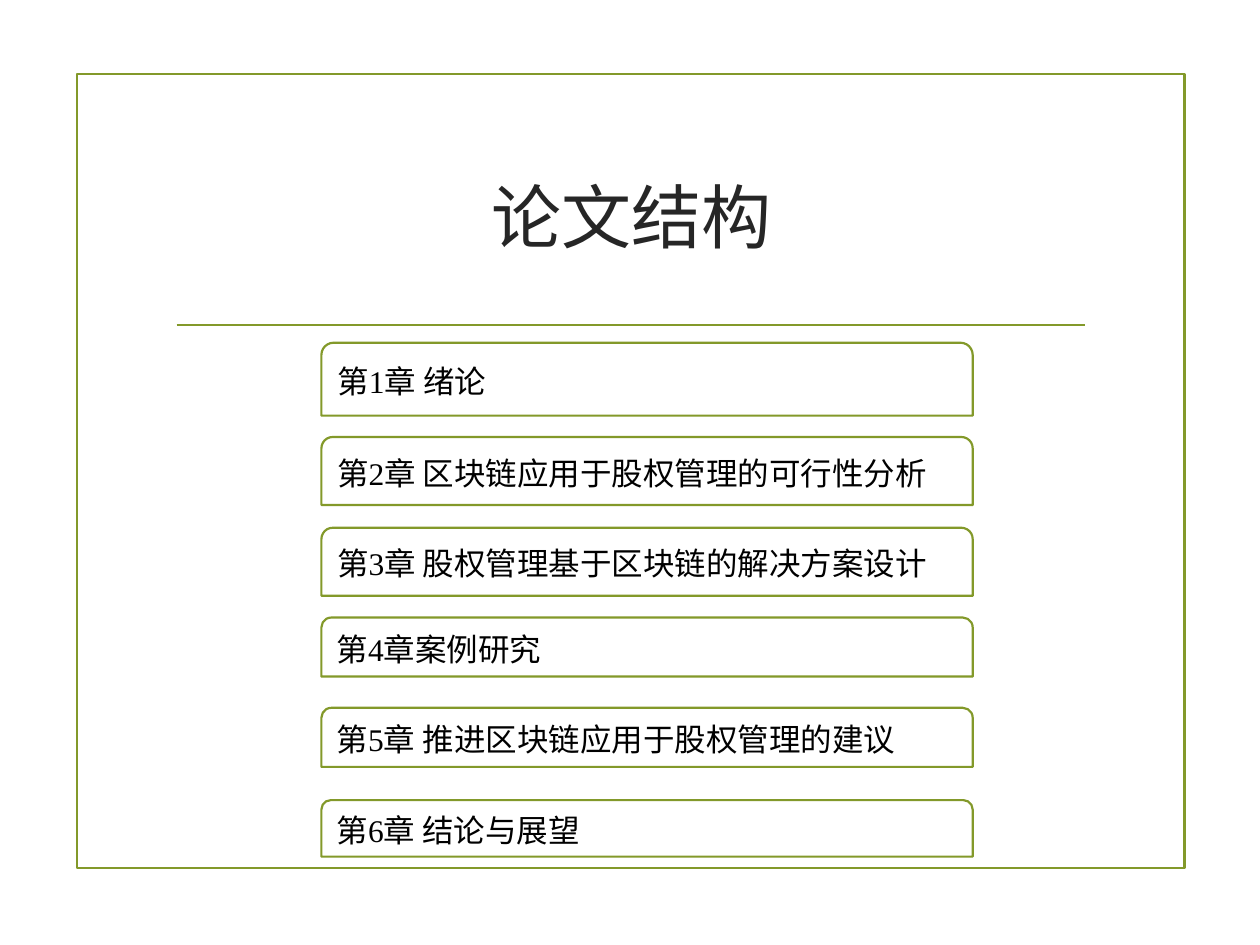
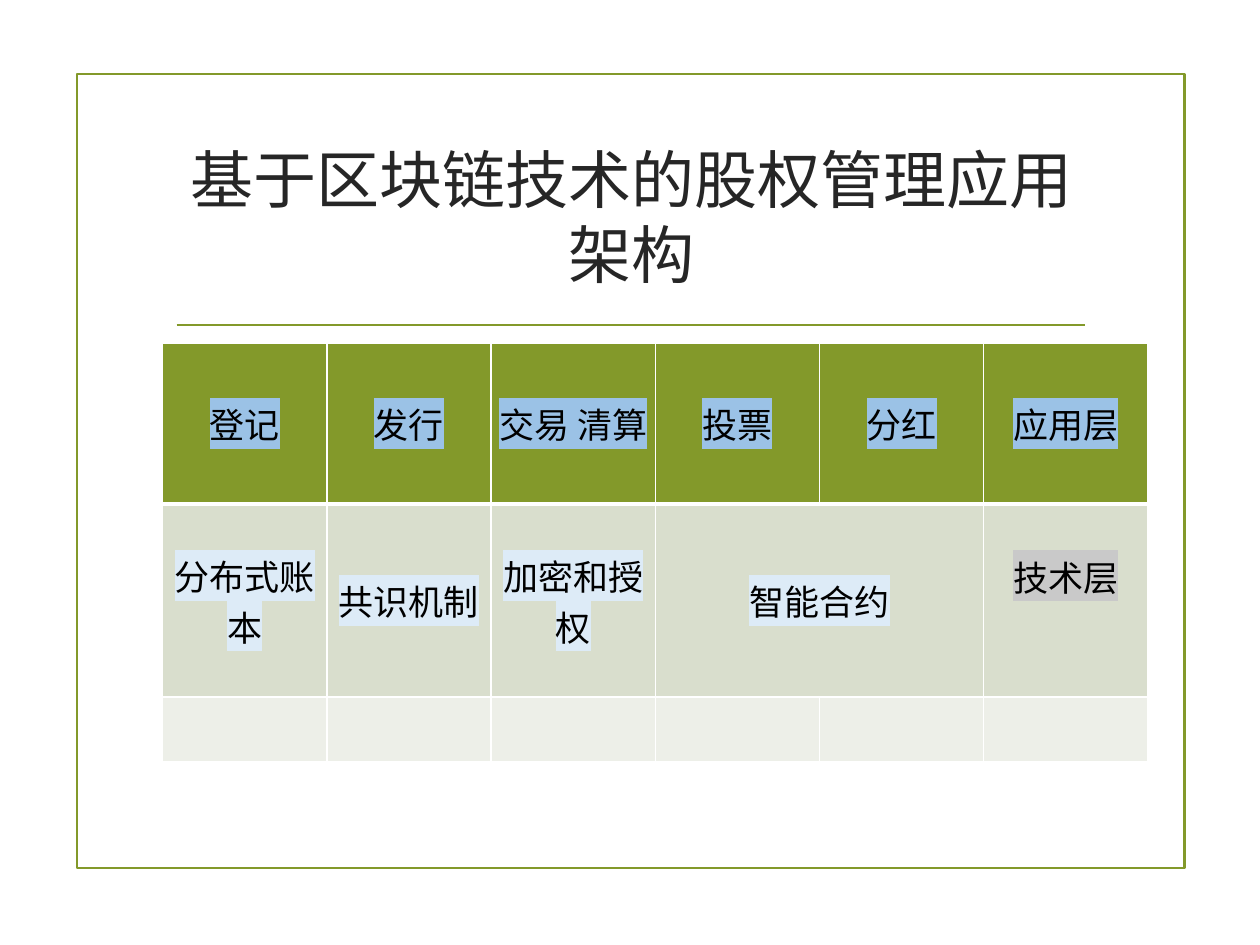
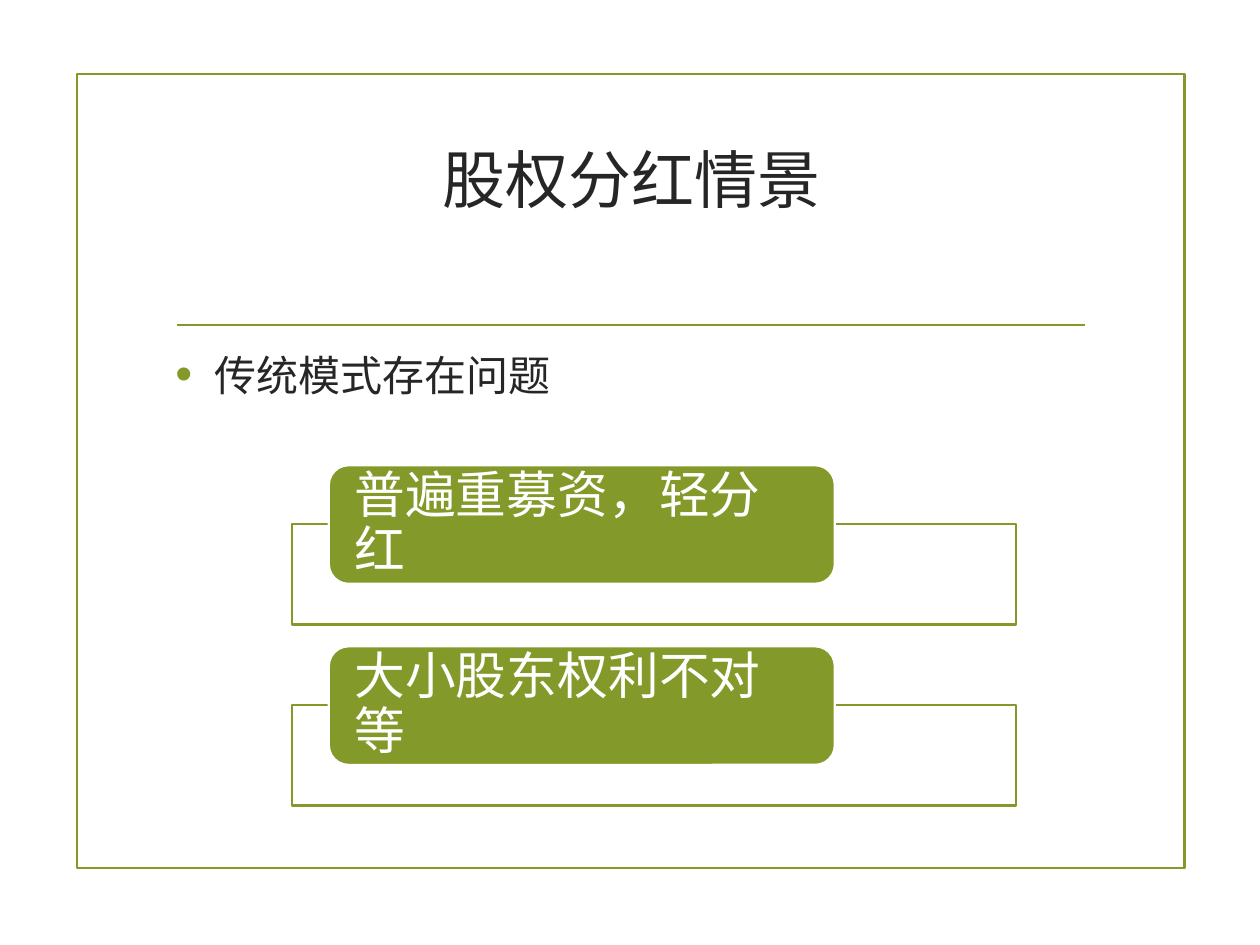
import dataclasses

import lxml.etree
import pptx
import pptx.dml.color
import pptx.enum.shapes
import pptx.enum.text
import pptx.oxml.ns
import pptx.util

Cm = pptx.util.Cm
Pt = pptx.util.Pt
qn = pptx.oxml.ns.qn
SHAPE = pptx.enum.shapes.MSO_SHAPE
ALIGN = pptx.enum.text.PP_ALIGN
ANCHOR = pptx.enum.text.MSO_ANCHOR


@dataclasses.dataclass(frozen=True)
class Theme:
    green: str = "83992A"
    white: str = "FFFFFF"
    black: str = "000000"
    ink: str = "262626"
    band_dark: str = "D9DECD"
    band_light: str = "EDEFE8"
    mark_blue: str = "9BC2E6"
    mark_pale: str = "DDEBF7"
    mark_grey: str = "C9C9C9"
    latin: str = "Times New Roman"
    cjk: str = "Noto Sans CJK SC"
    title: int = 40
    long_title: int = 36
    callout: int = 29
    body: int = 24
    cell: int = 20
    chapter: int = 18
    line: float = 1.25


THEME = Theme()

# Chapter title, top and height in cm
CHAPTERS = [
    ("第1章 绪论", 6.91, 1.47),
    ("第2章 区块链应用于股权管理的可行性分析", 8.81, 1.37),
    ("第3章 股权管理基于区块链的解决方案设计", 10.64, 1.37),
    ("第4章案例研究", 12.45, 1.19),
    ("第5章 推进区块链应用于股权管理的建议", 14.27, 1.19),
    ("第6章 结论与展望", 16.13, 1.14),
]
APPLICATIONS = ["登记", "发行", "交易 清算", "投票", "分红", "应用层"]
TECHNOLOGIES = ["分布式账本", "共识机制", "加密和授权", "智能合约", "", "技术层"]
PROBLEMS = ["普遍重募资，轻分红", "大小股东权利不对等"]


def rgb(color):
    return pptx.dml.color.RGBColor.from_string(color)


# Text
def write_text(tf, text, size, color=THEME.ink, font=THEME.latin,
               align=ALIGN.LEFT, highlight=None, spacing=None, after=None):
    """Write one formatted paragraph and return it."""
    p = tf.paragraphs[0]
    p.text = text
    p.alignment = align
    if spacing:
        p.line_spacing = spacing
    if after is not None:
        p.space_after = Pt(after)
    for r in p.runs:
        r.font.size = Pt(size)
        r.font.bold = False
        r.font.color.rgb = rgb(color)
        r.font.name = font
        rPr = r.font._element
        lxml.etree.SubElement(rPr, qn("a:ea"), typeface=THEME.cjk)
        if highlight:
            mark = lxml.etree.Element(qn("a:highlight"))
            lxml.etree.SubElement(mark, qn("a:srgbClr"), val=highlight)
            rPr.find(qn("a:solidFill")).addnext(mark)
    return p


def place(sp, left, top, width, height):
    sp.left, sp.top, sp.width, sp.height = (
        Cm(v) for v in (left, top, width, height))


def add_title(s, text, size=THEME.long_title, raise_by=0.0):
    sp = s.shapes.title
    place(sp, 3.28, 2.54, 18.9, 3.63)
    tf = sp.text_frame
    tf.word_wrap = True
    tf.auto_size = pptx.enum.text.MSO_AUTO_SIZE.NONE
    tf.vertical_anchor = ANCHOR.MIDDLE
    tf.margin_bottom = Cm(0.13 + 2 * raise_by)
    write_text(tf, text, size, align=ALIGN.CENTER)


def add_bullet(s, text):
    sp = s.placeholders[1]
    place(sp, 3.28, 6.91, 18.9, 9.58)
    p = write_text(sp.text_frame, text, THEME.body, after=6)
    pPr = p._p.get_or_add_pPr()
    pPr.set("marL", str(Cm(0.79)))
    pPr.set("indent", str(-Cm(0.79)))
    color = lxml.etree.SubElement(pPr, qn("a:buClr"))
    lxml.etree.SubElement(color, qn("a:srgbClr"), val=THEME.green)
    lxml.etree.SubElement(pPr, qn("a:buSzPct"), val="115000")
    lxml.etree.SubElement(pPr, qn("a:buFont"), typeface="Arial")
    lxml.etree.SubElement(pPr, qn("a:buChar"), char="•")


# Shapes
def add_box(s, kind, left, top, width, height, fill=None, line=THEME.green):
    sp = s.shapes.add_shape(kind, Cm(left), Cm(top), Cm(width), Cm(height))
    sp.shadow.inherit = False
    if fill:
        sp.fill.solid()
        sp.fill.fore_color.rgb = rgb(fill)
    else:
        sp.fill.background()
    sp.line.color.rgb = rgb(line)
    sp.line.width = Pt(THEME.line)
    return sp


def add_rule(s, left, right, y):
    cxn = s.shapes.add_connector(pptx.enum.shapes.MSO_CONNECTOR.STRAIGHT,
                                 Cm(left), Cm(y), Cm(right), Cm(y))
    cxn.line.color.rgb = rgb(THEME.green)
    cxn.line.width = Pt(THEME.line)
    lxml.etree.SubElement(cxn._element.spPr, qn("a:effectLst"))
    return cxn


def move_frame_to_master(prs, s):
    """Draw the frame and title rule, then hand them to the master."""
    frame = add_box(s, SHAPE.RECTANGLE, 1.55, 1.5, 22.33, 16)
    rule = add_rule(s, 3.56, 21.87, 6.55)
    tree = prs.slide_master.element.cSld.spTree
    for sp in (frame, rule):
        tree.append(sp._element)


def add_chapter(s, text, top, height):
    sp = add_box(s, SHAPE.ROUND_2_SAME_RECTANGLE, 6.48, top, 13.13, height,
                 fill=THEME.white)
    tf = sp.text_frame
    tf.word_wrap = True
    tf.vertical_anchor = ANCHOR.MIDDLE
    write_text(tf, text, THEME.chapter, THEME.black)


def add_problem(s, text, top):
    panel = add_box(s, SHAPE.RECTANGLE, 5.89, top + 1.18, 14.6, 2.03,
                    fill=THEME.white)
    white = panel._element.spPr.find(qn("a:solidFill"))[0]
    lxml.etree.SubElement(white, qn("a:alpha"), val="90000")
    label = add_box(s, SHAPE.ROUNDED_RECTANGLE, 6.63, top, 10.2, 2.39,
                    fill=THEME.green, line=THEME.white)
    tf = label.text_frame
    tf.word_wrap = True
    tf.vertical_anchor = ANCHOR.MIDDLE
    tf.margin_left = tf.margin_right = Cm(0.4)
    tf.margin_top = tf.margin_bottom = 0
    write_text(tf, text, THEME.callout, THEME.white, spacing=0.9)


# Table
def set_borders(cell, top, bottom):
    tcPr = cell._tc.get_or_add_tcPr()
    widths = {"a:lnL": 1, "a:lnR": 1, "a:lnT": top, "a:lnB": bottom}
    for i, (tag, width) in enumerate(widths.items()):
        ln = lxml.etree.Element(qn(tag), w=str(Pt(width)))
        fill = lxml.etree.SubElement(ln, qn("a:solidFill"))
        lxml.etree.SubElement(fill, qn("a:srgbClr"), val=THEME.white)
        tcPr.insert(i, ln)


def add_cell(cell, text, fill, mark, top, bottom):
    cell.fill.solid()
    cell.fill.fore_color.rgb = rgb(fill)
    set_borders(cell, top, bottom)
    if text:
        cell.vertical_anchor = ANCHOR.MIDDLE
        cell.margin_left = cell.margin_right = 0
        cell.margin_top = cell.margin_bottom = 0
        write_text(cell.text_frame, text, THEME.cell, THEME.black,
                   font=THEME.cjk, align=ALIGN.CENTER, highlight=mark)


def add_layer_table(s):
    count = len(APPLICATIONS)
    # Texts, fill, highlight, row height, top and bottom border
    rows = [
        (APPLICATIONS, THEME.green, THEME.mark_blue, 3.25, 1, 3),
        (TECHNOLOGIES, THEME.band_dark, THEME.mark_pale, 3.89, 3, 1),
        ([""] * count, THEME.band_light, None, 1.3, 1, 1),
    ]
    height = sum(row[3] for row in rows)
    table = s.shapes.add_table(len(rows), count, Cm(3.28), Cm(6.91),
                               Cm(19.86), Cm(height)).table
    for i, (texts, fill, mark, row_height, top, bottom) in enumerate(rows):
        table.rows[i].height = Cm(row_height)
        for j, text in enumerate(texts):
            tint = THEME.mark_grey if text == "技术层" else mark
            add_cell(table.cell(i, j), text, fill, tint, top, bottom)
    table.cell(1, 3).merge(table.cell(1, 4))
    # The layer name sits a little above the middle
    table.cell(1, count - 1).margin_bottom = Cm(1)


# Slides
def build_structure(s):
    add_title(s, "论文结构", THEME.title)
    for text, top, height in CHAPTERS:
        add_chapter(s, text, top, height)


def build_architecture(s):
    add_title(s, "基于区块链技术的股权管理应用\v架构")
    add_layer_table(s)


def build_dividends(s):
    add_title(s, "股权分红情景", raise_by=0.75)
    add_bullet(s, "传统模式存在问题")
    for i, text in enumerate(PROBLEMS):
        add_problem(s, text, 9.38 + i * 3.65)


def main():
    prs = pptx.Presentation()
    prs.slide_width, prs.slide_height = Cm(25.4), Cm(19.05)
    title_only, title_body = prs.slide_layouts[5], prs.slide_layouts[1]
    first = prs.slides.add_slide(title_only)
    move_frame_to_master(prs, first)
    build_structure(first)
    build_architecture(prs.slides.add_slide(title_only))
    build_dividends(prs.slides.add_slide(title_body))
    prs.save("out.pptx")


if __name__ == "__main__":
    main()
